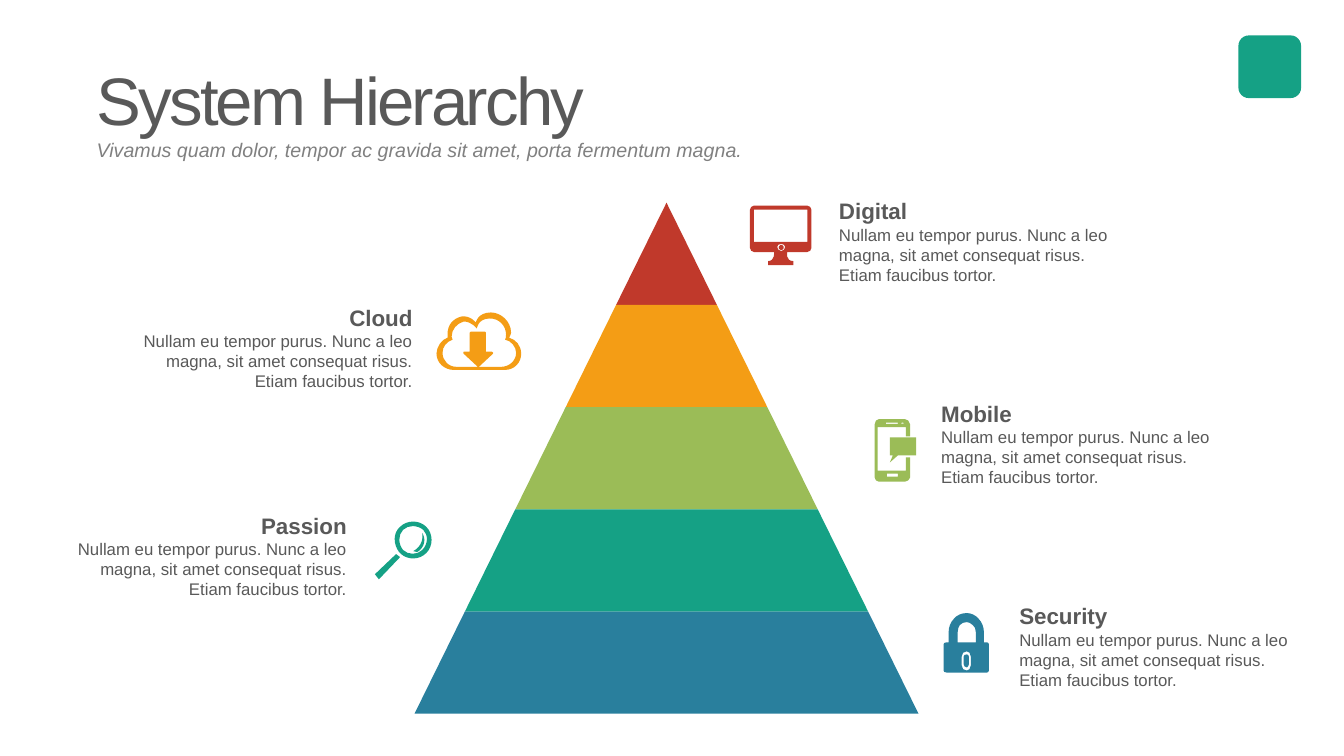
from dataclasses import dataclass

import lxml.etree
import pptx
import pptx.dml.color
import pptx.enum.shapes
import pptx.enum.text
import pptx.oxml.ns
import pptx.util

Pt = pptx.util.Pt
qn = pptx.oxml.ns.qn
SHAPES = pptx.enum.shapes.MSO_SHAPE
ALIGN = pptx.enum.text.PP_ALIGN


@dataclass(frozen=True)
class Theme:
    """Colours, font, type sizes and the icon grid."""
    red: str = "C0392B"
    orange: str = "F49D15"
    green: str = "9BBC57"
    teal: str = "15A185"
    blue: str = "297F9D"
    text: str = "595959"
    muted: str = "808080"
    font: str = "Arial"
    title_size: float = 48
    subtitle_size: float = 14
    heading_size: float = 16
    body_size: float = 12
    icon_unit: float = 0.72


THEME = Theme()
BODY = "Nullam eu tempor purus. Nunc a leo magna, sit amet consequat risus. Etiam faucibus tortor."

MONITOR = [
    "M 57 0 L 4 0 C 2 0 0 2 0 4 L 0 42 C 0 44 2 46 4 46 L 24 46 C 24 46 25 55 18 55 L 18 59 "
    "L 43 59 L 43 55 C 35 55 37 46 37 46 L 57 46 C 59 46 61 44 61 42 L 61 4 C 61 2 59 0 57 0 "
    "M 27 41 C 27 39 29 38 31 38 C 33 38 35 39 35 41 C 35 43 33 45 31 45 C 29 45 27 43 27 41 "
    "M 57 36 L 4 36 L 4 4 L 57 4",
    "O 28.5 39 5 5",
]
CLOUD = [
    "M 72 25 C 73 24 74 21 74 20 C 74 9 64 0 54 0 C 41 0 39 10 39 10 C 39 10 34 3 25 4 "
    "C 16 6 11 13 11 21 L 11 25 C 5 27 0 34 0 41 C 0 50 8 57 17 57 L 68 57 "
    "C 77 57 84 50 84 41 C 84 33 79 27 72 25 "
    "M 64 54 L 42 54 L 56 41 C 56 41 57 39 55 39 L 49 39 L 49 20 C 49 20 49 19 48 19 "
    "L 34 19 C 33 19 33 20 33 20 L 33 39 L 27 39 C 26 39 27 41 27 41 L 41 54 L 20 54 "
    "C 12 54 6 48 6 40 C 6 34 10 29 16 27 C 15 26 15 25 15 24 C 15 17 20 11 27 9 "
    "C 35 9 40 16 40 16 C 40 16 41 6 53 6 C 62 6 69 13 69 22 C 69 24 69 26 68 27 "
    "C 74 28 79 34 79 40 C 79 48 72 54 64 54",
]
PHONE = [
    "M 31 51 L 3 51 L 3 8 L 31 8 L 31 17 L 35 17 L 35 5 C 35 2 32 0 30 0 L 4 0 C 2 0 0 2 0 5 "
    "L 0 58 C 0 60 2 62 4 62 L 30 62 C 32 62 35 60 35 58 L 35 38 L 31 38 "
    "M 27 3.4 C 28 3.4 29 3.4 29 4 C 29 4.6 28 4.6 27 4.6 C 26 4.6 26 4.6 26 4 C 26 3.4 27 3.4 27 3.4 "
    "M 11 3.4 L 23 3.4 L 23 4.6 L 11 4.6 M 23 57 L 12 57 L 12 54 L 23 54",
    "M 15 36 L 18 36 L 15 43 L 23 36 L 41 36 L 41 18 L 15 18",
]
MAGNIFIER = [
    "M 51 7 C 44 0 32 0 25 7 C 18 13 18 24 24 32 L 26 34 C 33 40 44 40 51 33 C 58 26 58 14 51 7 "
    "M 47 30 C 42 35 33 35 28 30 C 23 24 23 15 28 10 C 33 5 42 5 48 10 C 53 15 53 24 47 30",
    "M 0 54 L 4 59 L 25 37 L 21 34",
    "M 47 13 C 49 26 38 31 38 31 L 42 32 C 54 24 47 13 47 13",
]
PADLOCK = [
    "M 43 29 L 40 29 L 40 19 C 40 14 38 9 35 6 C 32 2 27 0 23 0 C 18 0 13 2 10 6 C 7 9 5 14 5 19 "
    "L 5 29 L 3 29 C 1 29 0 30 0 31 L 0 57 C 0 58 1 59 3 59 L 43 59 C 44 59 45 58 45 57 "
    "L 45 31 C 45 30 44 29 43 29 "
    "M 27 52 C 27 55 25 57 23 57 C 20 57 18 55 18 52 L 18 43 C 18 40 20 38 23 38 "
    "C 25 38 27 40 27 43 "
    "M 32 29 L 14 29 L 14 19 C 14 16 15 13 16 12 C 18 10 20 9 23 9 C 25 9 27 10 29 12 "
    "C 31 13 32 16 32 19",
    "M 23 41 C 21 41 20 42 20 43 L 20 51 C 20 52 21 54 23 54 C 24 54 25 52 25 51 "
    "L 25 43 C 25 42 24 41 23 41",
]

ITEMS = [
    ("Digital", THEME.red, MONITOR, (592.2, 127.9), (-56.5, 19), ALIGN.LEFT),
    ("Cloud", THEME.orange, CLOUD, (88, 204), (223.8, 19.2), ALIGN.RIGHT),
    ("Mobile", THEME.green, PHONE, (665.2, 272.6), (-40.4, 26.8), ALIGN.LEFT),
    ("Passion", THEME.teal, MAGNIFIER, (41, 352.5), (226.8, 18.8), ALIGN.RIGHT),
    ("Security", THEME.blue, PADLOCK, (721, 417.2), (-47, 20.7), ALIGN.LEFT),
]


def paint(shape, color):
    """Give a shape a flat fill without line or shadow."""
    shape.shadow.inherit = False
    shape.fill.solid()
    shape.fill.fore_color.rgb = pptx.dml.color.RGBColor.from_string(color)
    shape.line.fill.background()


def style(paragraph, size, color=THEME.text, bold=False, italic=False):
    """Set the font of a whole paragraph."""
    font = paragraph.font
    font.name, font.size, font.bold, font.italic = THEME.font, Pt(size), bold, italic
    font.color.rgb = pptx.dml.color.RGBColor.from_string(color)


def add_text_frame(slide, left, top, width, height, margins=(7.2, 3.6), wrap=True):
    """Add a text box that grows with its text and return its frame."""
    frame = slide.shapes.add_textbox(Pt(left), Pt(top), Pt(width), Pt(height)).text_frame
    frame.word_wrap = wrap
    frame.auto_size = pptx.enum.text.MSO_AUTO_SIZE.SHAPE_TO_FIT_TEXT
    frame.margin_left = frame.margin_right = Pt(margins[0])
    frame.margin_top = frame.margin_bottom = Pt(margins[1])
    return frame


def trace(outline, left, top):
    """Turn an outline into contours, each a list of segments of points."""
    contours = []
    for contour in outline.split("M ")[1:]:
        segments = []
        for part in contour.replace("C", "L").split("L"):
            values = [float(token) * THEME.icon_unit for token in part.split()]
            segments.append([(Pt(left + x), Pt(top + y))
                             for x, y in zip(values[::2], values[1::2])])
        contours.append(segments)
    return contours


def add_outline(slide, left, top, outline):
    """Build a freeform through the outline's anchors and bend its curved segments."""
    contours = trace(outline, left, top)
    builder = slide.shapes.build_freeform(*contours[0][0][-1])
    for number, segments in enumerate(contours):
        if number:
            builder.move_to(*segments[0][-1])
        builder.add_line_segments([segment[-1] for segment in segments[1:]], close=True)
    shape = builder.convert_to_shape()
    segments = [segment for contour in contours for segment in contour[1:]]
    for line, segment in zip(list(shape._element.iter(qn("a:lnTo"))), segments):
        if len(segment) == 3:
            curve = lxml.etree.Element(qn("a:cubicBezTo"))
            for x, y in segment:
                lxml.etree.SubElement(curve, qn("a:pt"), x=str(x - shape.left), y=str(y - shape.top))
            line.getparent().replace(line, curve)
    return shape


def add_icon(slide, left, top, outlines, color):
    """Draw an icon from its outlines and dots at the given corner."""
    for outline in outlines:
        if outline.startswith("O"):
            x, y, width, height = (float(token) * THEME.icon_unit for token in outline.split()[1:])
            shape = slide.shapes.add_shape(
                SHAPES.OVAL, Pt(left + x), Pt(top + y), Pt(width), Pt(height))
        else:
            shape = add_outline(slide, left, top, outline)
        paint(shape, color)


def add_pyramid(slide, left, top, width, height, colors):
    """Stack equally high bands that widen evenly to the full width."""
    step, band = width / len(colors), height / len(colors)
    for level, color in enumerate(colors):
        band_width = step * (level + 1)
        shape = slide.shapes.add_shape(
            SHAPES.TRAPEZOID, Pt(left + (width - band_width) / 2), Pt(top + level * band),
            Pt(band_width), Pt(band))
        shape.adjustments[0] = step / 2 / min(band_width, band)
        paint(shape, color)


def add_item(slide, left, top, name, color, icon, icon_offset, alignment):
    """Place a heading, its description and its icon."""
    frame = add_text_frame(slide, left, top, 213.8, 79.9)
    heading, body = frame.paragraphs[0], frame.add_paragraph()
    heading.text, body.text = name, BODY
    heading.alignment = body.alignment = alignment
    heading.line_spacing = 1.5
    style(heading, THEME.heading_size, bold=True)
    style(body, THEME.body_size)
    add_icon(slide, left + icon_offset[0], top + icon_offset[1], icon, color)


def add_header(slide, left, top):
    """Place the title and the subtitle below it."""
    title = add_text_frame(slide, left, top, 360, 63.4, (5.4, 2.2), wrap=False).paragraphs[0]
    run = title.add_run()
    run.text = "System Hierarchy"
    run._r.get_or_add_rPr().set("spc", "-200")
    style(title, THEME.title_size)
    frame = add_text_frame(slide, left, top + 56.6, 504, 21.6, (5.4, 2.2))
    frame.vertical_anchor = pptx.enum.text.MSO_ANCHOR.MIDDLE
    subtitle = frame.paragraphs[0]
    subtitle.text = "Vivamus quam dolor, tempor ac gravida sit amet, porta fermentum magna."
    style(subtitle, THEME.subtitle_size, THEME.muted, italic=True)


def main():
    """Build and save the slide."""
    presentation = pptx.Presentation()
    presentation.slide_width, presentation.slide_height = Pt(960), Pt(540)
    slide = presentation.slides.add_slide(presentation.slide_layouts[6])
    badge = slide.shapes.add_shape(SHAPES.ROUNDED_RECTANGLE, Pt(884.6), Pt(25.3), Pt(44.8), Pt(44.8))
    paint(badge, THEME.teal)
    add_pyramid(slide, 296.1, 144.8, 360, 365, [item[1] for item in ITEMS])
    add_header(slide, 63.6, 39.5)
    for name, color, icon, corner, icon_offset, alignment in ITEMS:
        add_item(slide, *corner, name, color, icon, icon_offset, alignment)
    presentation.save("out.pptx")


if __name__ == "__main__":
    main()
